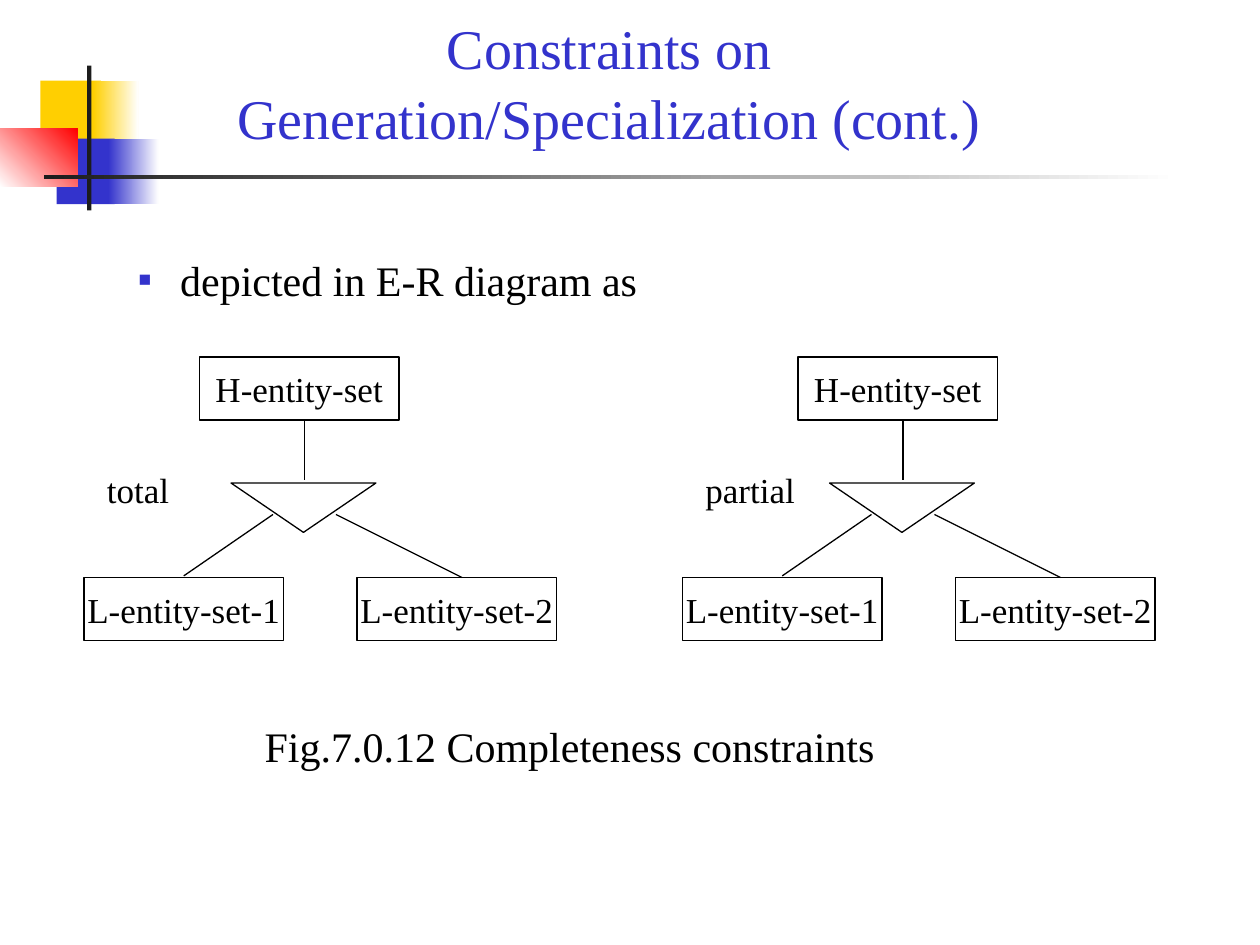
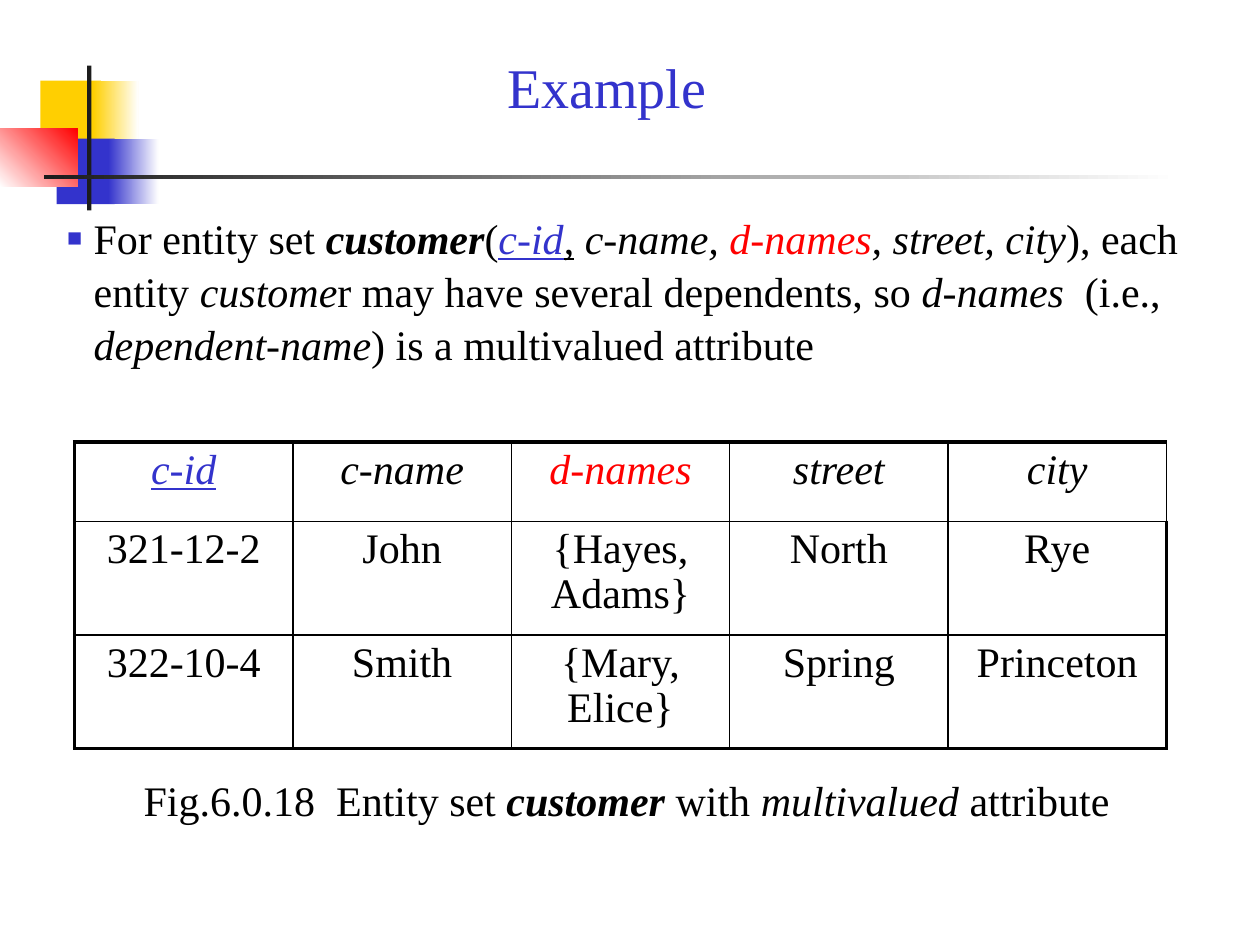
from lxml import etree
from pptx import Presentation
from pptx import util as u
from pptx.dml.color import RGBColor
from pptx.enum import shapes, text
from pptx.oxml import ns

BLACK = RGBColor(0x00, 0x00, 0x00)
WHITE = RGBColor(0xFF, 0xFF, 0xFF)
BLUE = RGBColor(0x33, 0x33, 0xCC)
RED = RGBColor(0xFF, 0x00, 0x00)
YELLOW = RGBColor(0xFF, 0xCF, 0x01)
CHARCOAL = RGBColor(0x1C, 0x1C, 0x1C)

FONT = "Times New Roman"
TITLE_SIZE, BODY_SIZE, DIAGRAM_SIZE = 32, 24, 20
COLUMNS, ROWS = 120, 90  # grid of the slide
THIN, THICK = 1, 2.25  # table rules in points
CENTER, LEFT = text.PP_ALIGN.CENTER, text.PP_ALIGN.LEFT


def add_xml(parent, tag, **attributes):
    return etree.SubElement(parent, ns.qn(tag), attributes)


class Deck:
    """Holds the style, the grid and the slide being filled."""

    def __init__(self):
        self.presentation = Presentation()
        self.presentation.slide_width = u.Inches(10)
        self.presentation.slide_height = u.Inches(7.5)
        self.column = self.presentation.slide_width / COLUMNS
        self.row = self.presentation.slide_height / ROWS
        self.layout = self.presentation.slide_layouts[1]
        self.slide = self.shapes = None

    def add_slide(self):
        self.slide = self.presentation.slides.add_slide(self.layout)
        self.shapes = self.slide.shapes

    def start_group(self):
        self.shapes = self.slide.shapes.add_group_shape().shapes

    def end_group(self):
        self.shapes = self.slide.shapes

    def area(self, left, top, width, height):
        return (u.Emu(round(left * self.column)), u.Emu(round(top * self.row)),
                u.Emu(round(width * self.column)), u.Emu(round(height * self.row)))

    # Text: runs are (words, flags, colour); flags are b, i and u
    def add_runs(self, paragraph, runs, size, color=BLACK, align=LEFT):
        paragraph.alignment = align
        if isinstance(runs, str):
            runs = [(runs,)]
        for words, *look in runs:
            flags = look[0] if look else ""
            run = paragraph.add_run()
            run.text = words
            font = run.font
            font.name, font.size = FONT, u.Pt(size)
            font.bold, font.italic = "b" in flags, "i" in flags
            font.underline = "u" in flags
            font.color.rgb = look[1] if len(look) > 1 else color

    def place(self, placeholder, area, anchor):
        (placeholder.left, placeholder.top,
         placeholder.width, placeholder.height) = self.area(*area)
        frame = placeholder.text_frame
        frame.auto_size = text.MSO_AUTO_SIZE.NONE
        frame.vertical_anchor = anchor
        return frame.paragraphs[0]

    def title(self, words, *area):
        paragraph = self.place(self.slide.shapes.title, area, text.MSO_ANCHOR.BOTTOM)
        paragraph.line_spacing = 1.05
        self.add_runs(paragraph, words, TITLE_SIZE, BLUE, CENTER)

    def bullet(self, runs, area, margin, hanging, bullet_size, before=0):
        paragraph = self.place(self.slide.placeholders[1], area, text.MSO_ANCHOR.TOP)
        paragraph.line_spacing = 1.05
        paragraph.space_before = u.Pt(before)
        self.add_runs(paragraph, runs, BODY_SIZE)
        properties = paragraph._p.get_or_add_pPr()
        properties.set("marL", str(u.Inches(margin)))
        properties.set("indent", str(-u.Inches(hanging)))
        add_xml(add_xml(properties, "a:buClr"), "a:srgbClr", val=str(BLUE))
        add_xml(properties, "a:buSzPct", val=str(bullet_size * 1000))
        add_xml(properties, "a:buFont", typeface=FONT)
        add_xml(properties, "a:buChar", char="■")

    def label(self, runs, area, size=BODY_SIZE, align=LEFT, wrap=False):
        frame = self.shapes.add_textbox(*self.area(*area)).text_frame
        frame.word_wrap = wrap
        self.add_runs(frame.paragraphs[0], runs, size, align=align)

    # Drawn elements
    def block(self, area, start, end=None, angle=0):
        """A borderless rectangle, plain or fading from start to end."""
        shape = self.shapes.add_shape(shapes.MSO_SHAPE.RECTANGLE, *self.area(*area))
        shape.shadow.inherit = False
        shape.line.fill.background()
        if end is None:
            shape.fill.solid()
            shape.fill.fore_color.rgb = start
        else:
            shape.fill.gradient()
            shape.fill.gradient_angle = angle
            for stop, color in zip(shape.fill.gradient_stops, (start, end)):
                stop.color.rgb = color
        return shape

    def outline(self, kind, area, words=None):
        shape = self.shapes.add_shape(kind, *self.area(*area))
        shape.shadow.inherit = False
        shape.fill.background()
        shape.line.color.rgb, shape.line.width = BLACK, u.Pt(0.75)
        if words:
            frame = shape.text_frame
            frame.word_wrap = False
            frame.vertical_anchor = text.MSO_ANCHOR.MIDDLE
            self.add_runs(frame.paragraphs[0], words, DIAGRAM_SIZE, align=CENTER)

    def line(self, start, end):
        connector = self.shapes.add_connector(
            shapes.MSO_CONNECTOR.STRAIGHT, *self.area(*start, *end))
        connector.line.color.rgb, connector.line.width = BLACK, u.Pt(0.75)
        add_xml(connector._element.spPr, "a:effectLst")

    def border(self, cell, widths):
        """Draw the left, right, top and bottom rule of a cell."""
        properties = cell._tc.get_or_add_tcPr()
        for index, (side, width) in enumerate(zip("LRTB", widths)):
            rule = add_xml(properties, f"a:ln{side}", w=str(u.Pt(width)))
            add_xml(add_xml(rule, "a:solidFill"), "a:srgbClr", val=str(BLACK))
            properties.insert(index, rule)

    def table(self, records, area, heights):
        last_row, last_column = len(records) - 1, len(records[0]) - 1
        table = self.shapes.add_table(
            len(records), len(records[0]), *self.area(*area)).table
        table.first_row = table.horz_banding = False
        for i, record in enumerate(records):
            table.rows[i].height = u.Inches(heights[i])
            for j, content in enumerate(record):
                cell = table.cell(i, j)
                cell.fill.background()
                paragraph = cell.text_frame.paragraphs[0]
                paragraph.line_spacing = 0.97
                self.add_runs(paragraph, content, BODY_SIZE, align=CENTER)
                self.border(cell, (
                    THICK if j == 0 else THIN,
                    THICK if j == last_column and i > 0 else THIN,
                    THICK if i == 0 else THIN,
                    THICK if i == last_row else THIN))

    # Shared decoration, kept on the layout
    def decorate_layout(self):
        blocks = [
            self.block((3.84, 7.68, 5.76, 6.24), YELLOW),
            self.block((8.88, 7.68, 4.32, 6.24), YELLOW, WHITE),
            self.block((5.4, 13.2, 5.52, 6.24), BLUE),
            self.block((10.32, 13.2, 4.8, 6.24), BLUE, WHITE),
            self.block((0, 12.24, 7.4, 5.55), WHITE, RED, angle=45),
            self.block((8.3, 6.24, 0.4, 13.8), CHARCOAL),
            self.block((4.2, 16.68, 108, 0.4), CHARCOAL, WHITE),
        ]
        for number, shape in enumerate(blocks, start=100):
            shape.element.nvSpPr.cNvPr.set("id", str(number))
            self.layout.shapes.element.append(shape.element)

    # One higher entity set split into two lower ones
    def specialization(self, constraint, left):
        box = shapes.MSO_SHAPE.RECTANGLE
        self.start_group()
        self.outline(shapes.MSO_SHAPE.FLOWCHART_MERGE, (left + 14, 46, 13.8, 4.7))
        for start, end in (((21, 40), (21, 45.7)),
                           ((18, 49), (9.5, 54.85)),
                           ((24, 49), (36, 55))):
            self.line((left + start[0], start[1]), (left + end[0], end[1]))
        self.label(constraint, (left + 1, 44, 12.4, 5.2), DIAGRAM_SIZE, wrap=True)
        for name, column, row in (("H-entity-set", 11, 34),
                                  ("L-entity-set-1", 0, 55),
                                  ("L-entity-set-2", 26, 55)):
            self.outline(box, (left + column, row, 19, 6), name)
        self.end_group()


def completeness_slide(deck):
    deck.title("Constraints on Generation/Specialization (cont.)", 17.6, 0, 80.9, 15)
    deck.bullet("depicted in E-R diagram as", (3, 23.4, 106, 8), 1.08, 0.33, 50)
    for constraint, left in (("total", 8), ("partial", 65)):
        deck.specialization(constraint, left)
    deck.label("Fig.7.0.12 Completeness constraints", (24, 68, 60.5, 6), align=CENTER)


def example_slide(deck):
    deck.title("Example", 10.8, 4.3, 94, 7.7)
    deck.bullet([
        ("For entity set ",), ("customer", "bi"), ("(",), ("c-id", "iu", BLUE),
        (",", "u"), (" ", "bi"), ("c-name, ", "i"), ("d-names", "i", RED),
        (", street, city", "i"), ("), each entity ",), ("custome", "i"),
        ("r may have several dependents, so ",), ("d-names ", "i"),
        (" (i.e., ",), ("dependent-name", "i"),
        (") is a multivalued attribute",),
    ], (5.2, 19.4, 109, 20), 0.21, 0.21, 60, before=4.8)
    header = [[("c-id", "iu", BLUE)], [("c-name", "i")], [("d-names", "i", RED)],
              [("street", "i")], [("city", "i")]]
    deck.table([
        header,
        ["321-12-2", "John", "{Hayes, Adams}", "North", "Rye"],
        ["322-10-4", "Smith", "{Mary, Elice}", "Spring", "Princeton"],
    ], (7.1, 42.1, 104, 29.2), (0.63, 0.9, 0.9))
    deck.label([
        ("Fig.6.0.18  Entity set ",), ("customer", "bi"), (" with ",),
        ("multivalued", "i"), (" attribute",),
    ], (12.5, 73.2, 95.3, 6))


def main():
    deck = Deck()
    deck.add_slide()
    deck.decorate_layout()
    completeness_slide(deck)
    deck.add_slide()
    example_slide(deck)
    deck.presentation.save("out.pptx")


if __name__ == "__main__":
    main()
